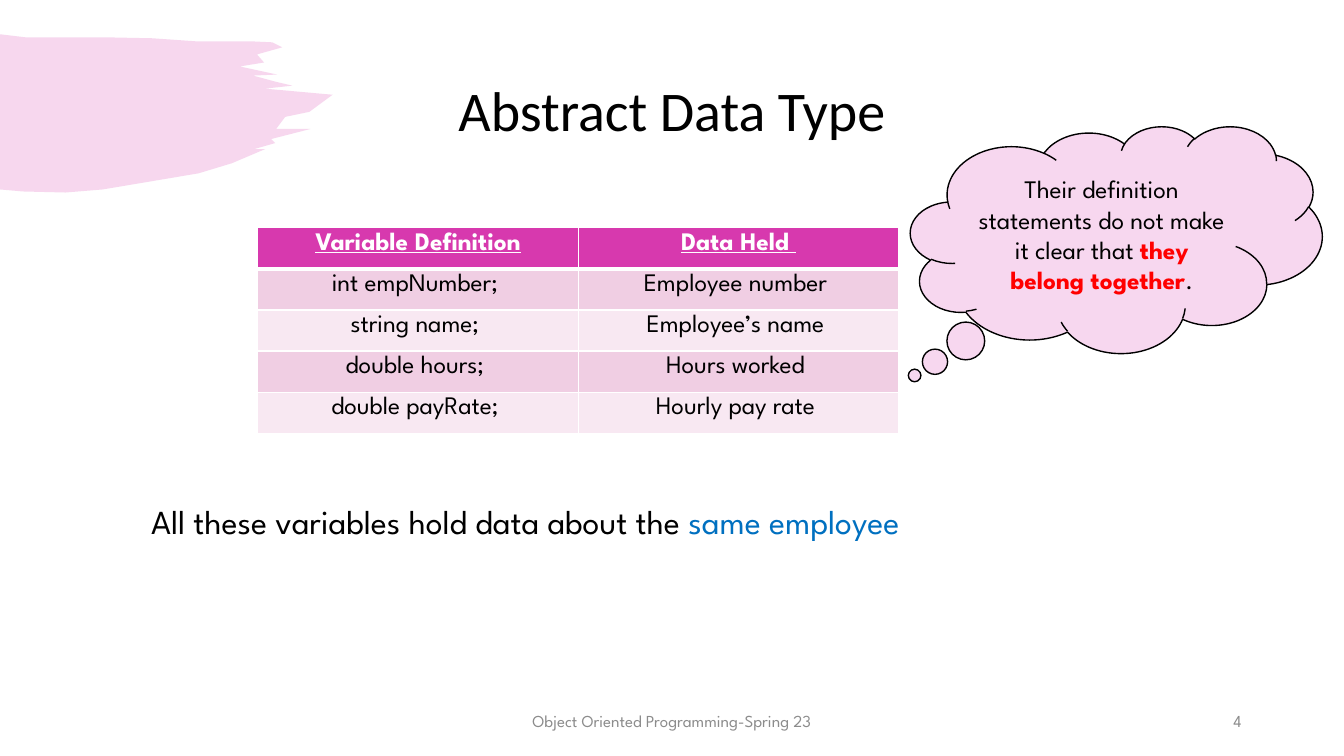
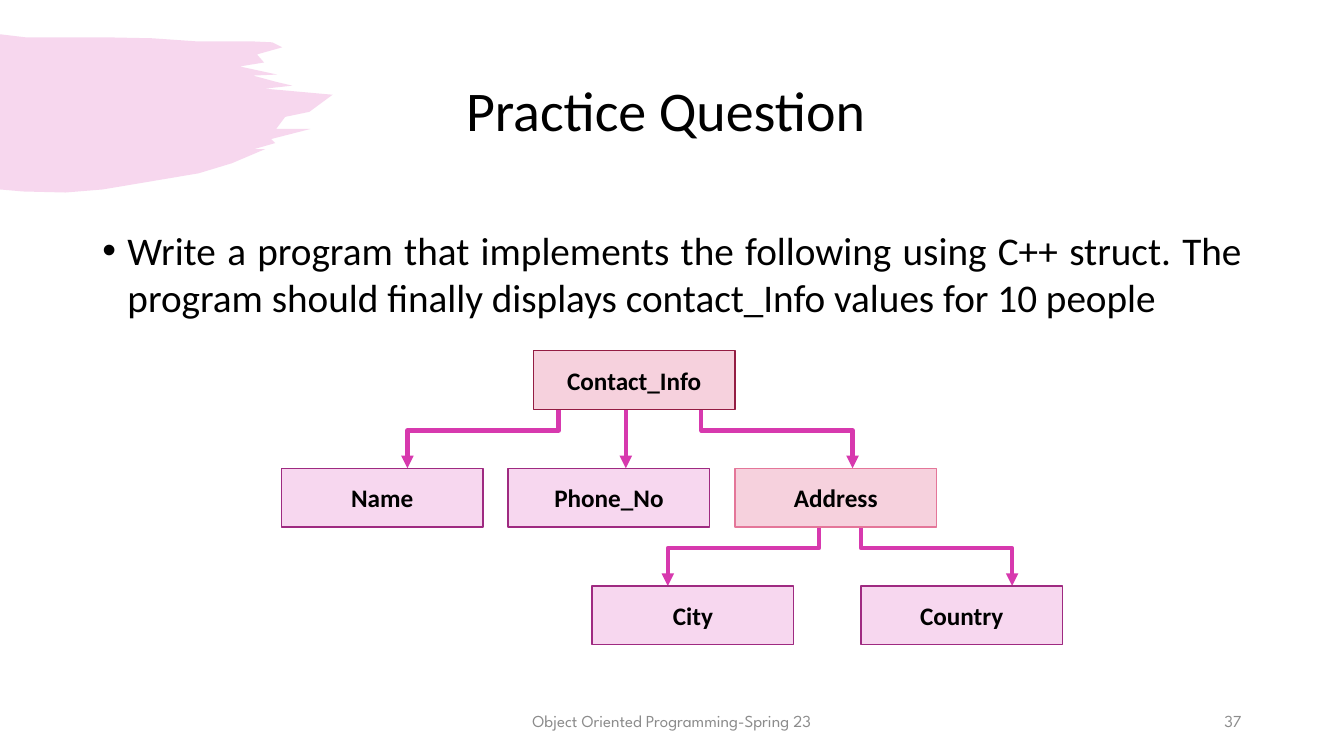
from dataclasses import dataclass
from lxml.etree import SubElement
from pptx import Presentation
from pptx.dml.color import RGBColor
from pptx.enum.shapes import MSO_CONNECTOR as Connector, MSO_SHAPE as Preset
from pptx.enum.text import MSO_ANCHOR as Anchor, PP_ALIGN as Align
from pptx.oxml.ns import qn
from pptx.util import Emu, Pt


@dataclass(frozen=True)
class Theme:
    heading_font: str = "Calibri"
    text_font: str = "League Spartan"
    title_size: int = 40
    body_size: int = 28
    remark_size: int = 24
    label_size: int = 18
    footer_size: int = 12
    black: str = "000000"
    white: str = "FFFFFF"
    gray: str = "8C8C8C"
    red: str = "FF0000"
    blue: str = "0070C0"
    accent: str = "D739AE"
    pale_accent: str = "F7D7EF"
    accent_edge: str = "9F2A81"
    rose: str = "F6D1DD"
    rose_edge: str = "E47699"
    wine_edge: str = "941D43"
    bands: tuple = ("F0CEE3", "F8E8F2")


@dataclass(frozen=True)
class Run:
    text: str
    color: str = Theme.black
    bold: bool = False
    underline: bool = False


THEME = Theme()
COLUMNS, ROWS, CELL = 160, 90, 76200
TITLE_AREA = (11, 4.8, 138, 17.4)
BODY_AREA = (11, 26.4, 138, 54.6)
FOOTER_AREA = (53, 83.4, 54, 4.8)
NUMBER_AREA = (113, 83.4, 36, 4.8)
FOOTER = "Object Oriented Programming-Spring 23"

BOX_WIDTH, BOX_HEIGHT = 24, 7
TREE_LEFT, TREE_TOP, TREE_PITCH = 33.5, 41.75, 27
ELBOW_RUN, ELBOW_RISE = 18, 9

BRUSH_SCALE = 9144
BRUSH_TOP = [(0, 34), (25, 37), (102, 37), (151, 38), (194, 41), (248, 41), (270, 42)]
BRUSH_BRISTLES = [
    (280, 47), (255, 54), (262, 62), (238, 66), (275, 74), (251, 75), (273, 81),
    (290, 85), (263, 88), (330, 94), (307, 111), (283, 116), (274, 128),
    (308, 128), (269, 138), (273, 142), (252, 148), (263, 148),
]
BRUSH_BOTTOM = [(230, 162), (197, 172), (102, 188), (65, 191), (23, 190), (0, 188)]


def rgb(color):
    return RGBColor.from_string(color)


def cells(*counts):
    return [Emu(round(count * CELL)) for count in counts]


def add_runs(paragraph, runs, font, size, align=Align.LEFT):
    paragraph.alignment = align
    for part in runs:
        run = paragraph.add_run()
        run.text = part.text
        run.font.name = font
        run.font.size = Pt(size)
        run.font.bold = part.bold
        run.font.underline = part.underline
        run.font.color.rgb = rgb(part.color)


def add_text(slide, area, runs, font, size, align=Align.LEFT, anchor=Anchor.TOP):
    frame = slide.shapes.add_textbox(*cells(*area)).text_frame
    frame.word_wrap = True
    frame.vertical_anchor = anchor
    paragraph = frame.paragraphs[0]
    add_runs(paragraph, runs, font, size, align)
    return paragraph


def add_bullet(slide, text):
    paragraph = add_text(slide, BODY_AREA, [Run(text)], THEME.heading_font,
                         THEME.body_size, Align.JUSTIFY)
    paragraph.space_before = Pt(10)
    properties = paragraph._p.get_or_add_pPr()
    hanging = CELL * 3
    properties.set("marL", str(hanging))
    properties.set("indent", str(-hanging))
    SubElement(properties, qn("a:buFont"), typeface="Arial")
    SubElement(properties, qn("a:buChar"), char="•")


def add_filled_shape(slide, preset, area, runs, font, fill, edge):
    shape = slide.shapes.add_shape(preset, *cells(*area))
    shape.shadow.inherit = False
    shape.fill.solid()
    shape.fill.fore_color.rgb = rgb(fill)
    shape.line.color.rgb = rgb(edge)
    shape.line.width = Pt(1)
    frame = shape.text_frame
    frame.word_wrap = True
    frame.vertical_anchor = Anchor.MIDDLE
    add_runs(frame.paragraphs[0], runs, font, THEME.label_size, Align.CENTER)
    return shape


def add_brush(slide):
    start, *outline = BRUSH_TOP + BRUSH_BRISTLES + BRUSH_BOTTOM
    builder = slide.shapes.build_freeform(*start, scale=BRUSH_SCALE)
    builder.add_line_segments(outline, close=True)
    brush = builder.convert_to_shape()
    brush.shadow.inherit = False
    brush.fill.solid()
    brush.fill.fore_color.rgb = rgb(THEME.accent)
    brush.line.fill.background()
    color = brush._element.spPr.find(qn("a:solidFill")).find(qn("a:srgbClr"))
    SubElement(color, qn("a:alpha"), val="20000")


def add_slide(presentation, title, number):
    slide = presentation.slides.add_slide(presentation.slide_layouts[6])
    add_brush(slide)
    heading = add_text(slide, TITLE_AREA, [Run(title)], THEME.heading_font,
                       THEME.title_size, Align.CENTER, Anchor.MIDDLE)
    heading.line_spacing = 0.9
    for area, text, align in ((FOOTER_AREA, FOOTER, Align.CENTER),
                              (NUMBER_AREA, str(number), Align.RIGHT)):
        add_text(slide, area, [Run(text, THEME.gray)], THEME.text_font,
                 THEME.footer_size, align, Anchor.MIDDLE)
    return slide


def set_borders(cell, widths):
    properties = cell._tc.get_or_add_tcPr()
    for index, (side, width) in enumerate(widths.items()):
        line = SubElement(properties, qn(f"a:ln{side}"), w=str(Pt(width)))
        fill = SubElement(line, qn("a:solidFill"))
        SubElement(fill, qn("a:srgbClr"), val=THEME.white)
        properties.insert(index, line)


def add_banded_table(slide, area, rows):
    table = slide.shapes.add_table(len(rows), len(rows[0]), *cells(*area)).table
    table.first_row = table.horz_banding = False
    for row_index, texts in enumerate(rows):
        header = row_index == 0
        fill = THEME.accent if header else THEME.bands[(row_index - 1) % 2]
        color = THEME.white if header else THEME.black
        widths = {"L": 1, "R": 1, "T": 3 if row_index == 1 else 1, "B": 3 if header else 1}
        for column_index, text in enumerate(texts):
            cell = table.cell(row_index, column_index)
            cell.fill.solid()
            cell.fill.fore_color.rgb = rgb(fill)
            set_borders(cell, widths)
            add_runs(cell.text_frame.paragraphs[0], [Run(text, color, header, header)],
                     THEME.text_font, THEME.label_size, Align.CENTER)


def add_arrow(slide, tip_x, tip_y, direction):
    middle_x = tip_x - direction * ELBOW_RUN / 2
    middle_y = tip_y - ELBOW_RISE / 2
    if direction:
        half_width, half_height = direction * ELBOW_RISE / 2, ELBOW_RUN / 2
        kind = Connector.ELBOW
    else:
        half_width, half_height = 0, ELBOW_RISE / 2
        kind = Connector.STRAIGHT
    arrow = slide.shapes.add_connector(kind, *cells(
        middle_x + half_width, middle_y - half_height,
        middle_x - half_width, middle_y + half_height))
    if direction < 0:
        arrow.rotation = 90
    elif direction > 0:
        arrow.rotation = 270
    arrow.line.color.rgb = rgb(THEME.accent)
    arrow.line.width = Pt(3)
    properties = arrow._element.spPr
    SubElement(properties.find(qn("a:ln")), qn("a:tailEnd"), type="triangle")
    SubElement(properties, qn("a:effectLst"))


def add_tree(slide, nodes, arrows):
    places = {name: (TREE_LEFT + column * TREE_PITCH + shift,
                     TREE_TOP + level * 2 * BOX_HEIGHT)
              for name, column, shift, level, _, _ in nodes}
    for child, offset, direction in arrows:
        left, top = places[child]
        add_arrow(slide, left + offset, top, direction)
    for name, _, _, _, fill, edge in nodes:
        add_filled_shape(slide, Preset.RECTANGLE, (*places[name], BOX_WIDTH, BOX_HEIGHT),
                         [Run(name, bold=True)], THEME.heading_font, fill, edge)


def add_data_type_slide(presentation):
    slide = add_slide(presentation, "Abstract Data Type", 4)
    add_banded_table(slide, (30.7, 27.1, 76.3, 24.5), [
        ("Variable Definition", "Data Held "),
        ("int empNumber; ", "Employee number "),
        ("string name; ", "Employee’s name "),
        ("double hours; ", "Hours worked "),
        ("double payRate; ", "Hourly pay rate "),
    ])
    cloud = add_filled_shape(slide, Preset.CLOUD_CALLOUT, (108.4, 15, 49, 27), [
        Run("Their definition statements do not make it clear that "),
        Run("they belong together", THEME.red, True),
        Run("."),
    ], THEME.text_font, THEME.pale_accent, THEME.black)
    cloud.adjustments[0] = -0.49
    cloud.adjustments[1] = 0.6
    add_text(slide, (16.8, 59, 128, 6), [
        Run("All these variables hold data about the "),
        Run("same employee", THEME.blue),
    ], THEME.text_font, THEME.remark_size)


def add_practice_slide(presentation):
    slide = add_slide(presentation, "Practice Question ", 37)
    add_bullet(slide, "Write a program that implements the following using C++ struct. "
                      "The program should finally displays contact_Info values for 10 people")
    leaf = (THEME.pale_accent, THEME.accent_edge)
    add_tree(slide, [
        ("Contact_Info", 1, 3, 0, THEME.rose, THEME.wine_edge),
        ("Name", 0, 0, 1, *leaf),
        ("Phone_No", 1, 0, 1, *leaf),
        ("Address", 2, 0, 1, THEME.rose, THEME.rose_edge),
        ("City", 1, 10, 2, *leaf),
        ("Country", 2, 15, 2, *leaf),
    ], [("Name", 15, -1), ("Phone_No", 14, 0), ("Address", 14, 1),
        ("City", 9, -1), ("Country", 18, 1)])


def main():
    presentation = Presentation()
    presentation.slide_width, presentation.slide_height = cells(COLUMNS, ROWS)
    add_data_type_slide(presentation)
    add_practice_slide(presentation)
    presentation.save("out.pptx")


if __name__ == "__main__":
    main()
